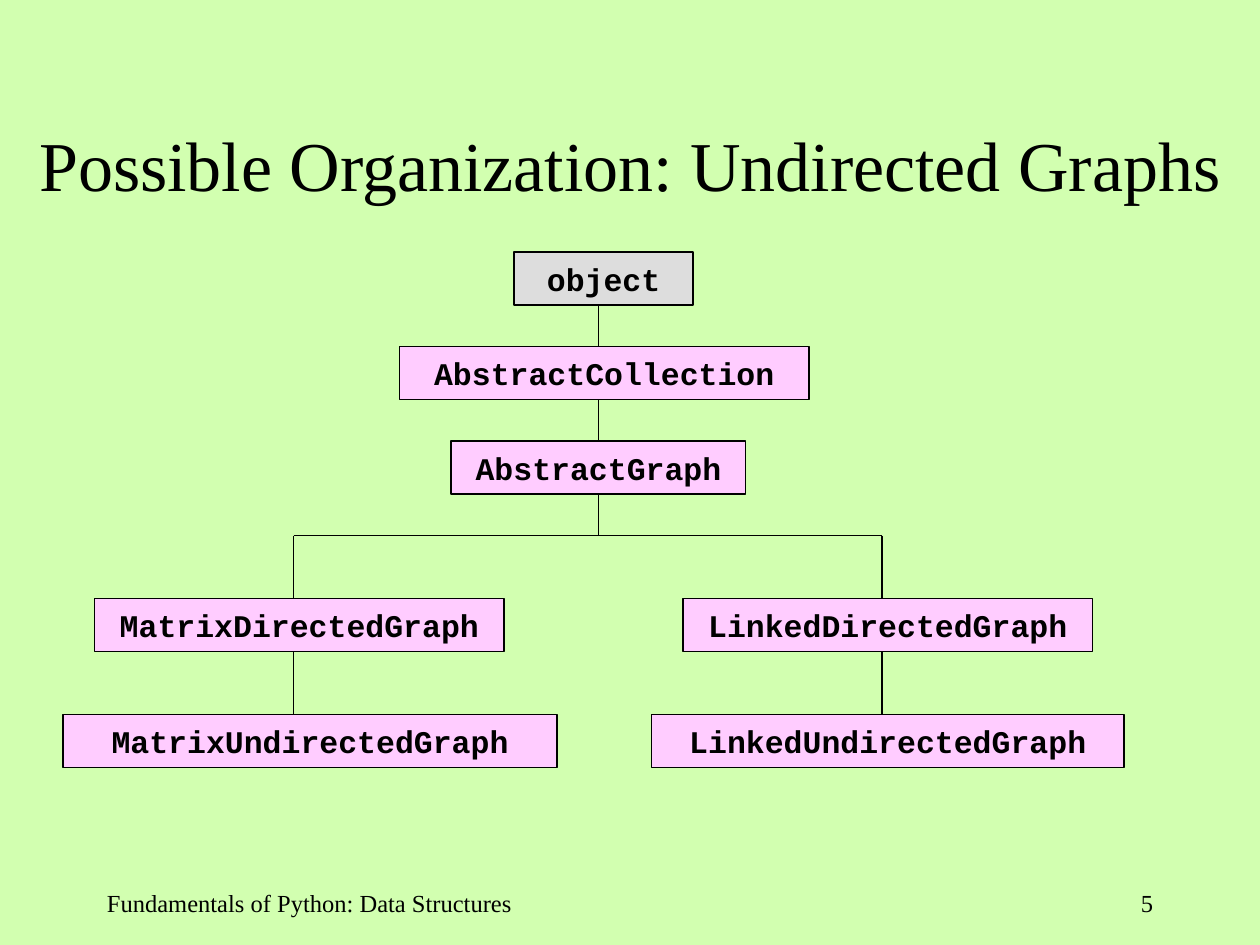
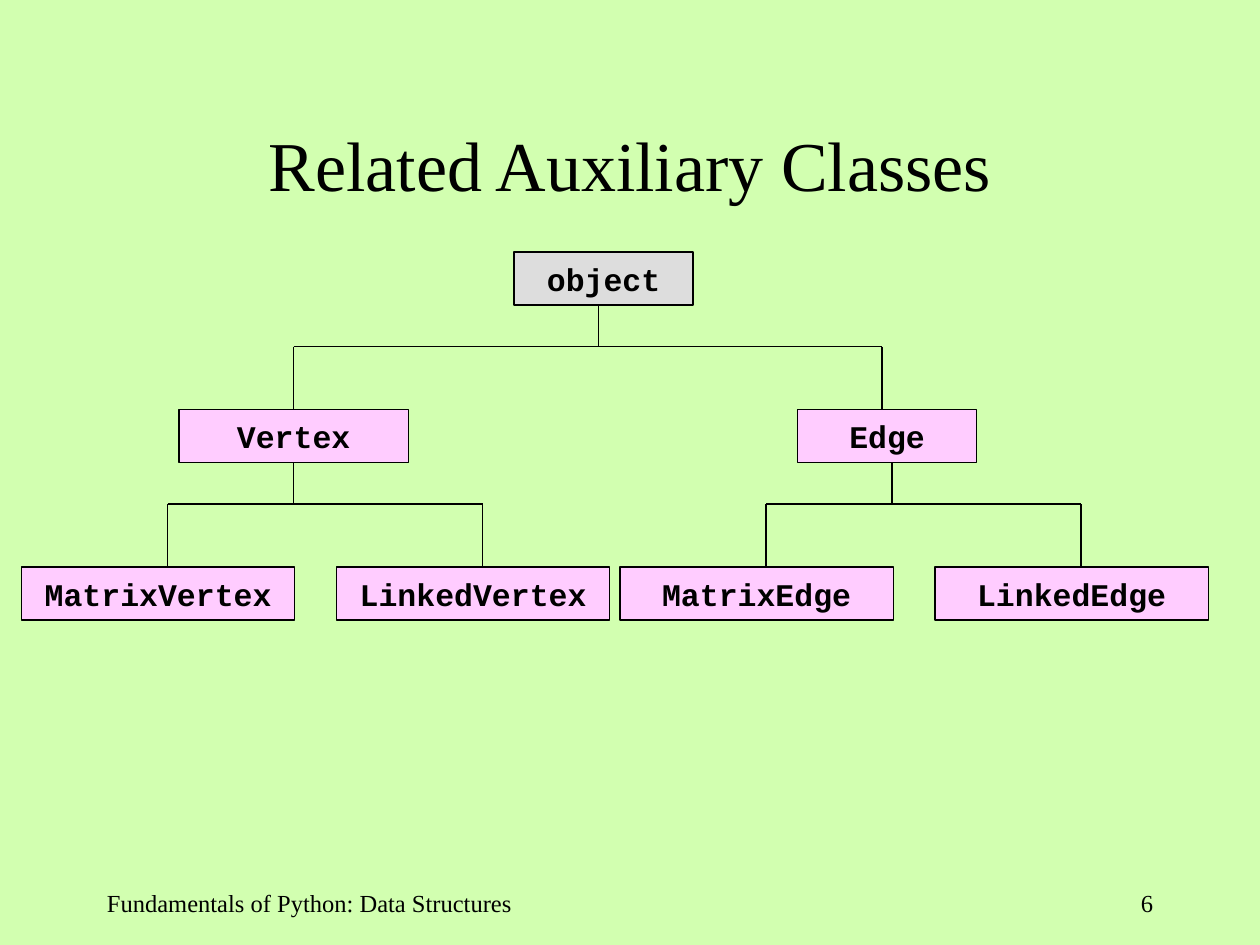
from dataclasses import dataclass

import pptx
import pptx.dml.color
import pptx.enum.shapes
import pptx.enum.text
import pptx.oxml
import pptx.util
from pptx.util import Inches

RGB = pptx.dml.color.RGBColor.from_string
ALIGN = pptx.enum.text.PP_ALIGN
ANCHOR = pptx.enum.text.MSO_ANCHOR
TOP_SIDE, BOTTOM_SIDE = 0, 2


@dataclass(frozen=True)
class Theme:
    background: str = "D2FFB0"
    ink: str = "000000"
    builtin_fill: str = "DDDDDD"
    class_fill: str = "FFCCFF"
    text_font: str = "Times New Roman"
    code_font: str = "Courier New"
    title_size: int = 40
    code_size: int = 18
    footer_size: int = 14
    line_width: float = 0.75


THEME = Theme()
BOX_HEIGHT = 0.42
STEM = 0.33
DROP = 0.5
BOOK = "Fundamentals of Python: Data Structures"


def write(frame, text, font_name, size, align, bold=False):
    frame.text = text
    paragraph = frame.paragraphs[0]
    paragraph.alignment = align
    font = paragraph.font
    font.name = font_name
    font.size = pptx.util.Pt(size)
    font.bold = bold
    font.color.rgb = RGB(THEME.ink)


def outline(line):
    line.color.rgb = RGB(THEME.ink)
    line.width = pptx.util.Pt(THEME.line_width)


def footer_text(slide, text, left, width, align):
    box = slide.shapes.add_textbox(Inches(left), Inches(7), Inches(width), Inches(0.5))
    box.text_frame.word_wrap = True
    write(box.text_frame, text, THEME.text_font, THEME.footer_size, align)


def titled_slide(prs, title, number):
    slide = prs.slides.add_slide(prs.slide_layouts[5])
    heading = slide.shapes.title
    heading.left, heading.top = Inches(0), Inches(0.67)
    heading.width, heading.height = Inches(10), Inches(1.25)
    frame = heading.text_frame
    frame.auto_size = pptx.enum.text.MSO_AUTO_SIZE.NONE
    frame.vertical_anchor = ANCHOR.MIDDLE
    write(frame, title, THEME.text_font, THEME.title_size, ALIGN.CENTER)
    footer_text(slide, BOOK, 0.75, 3.92, ALIGN.LEFT)
    footer_text(slide, str(number), 7.17, 2.08, ALIGN.RIGHT)
    return slide


def class_box(slide, name, left, top, width, fill=THEME.class_fill):
    box = slide.shapes.add_shape(
        pptx.enum.shapes.MSO_SHAPE.RECTANGLE,
        Inches(left), Inches(top), Inches(width), Inches(BOX_HEIGHT))
    box.shadow.inherit = False
    box.fill.solid()
    box.fill.fore_color.rgb = RGB(fill)
    outline(box.line)
    frame = box.text_frame
    frame.word_wrap = False
    frame.vertical_anchor = ANCHOR.MIDDLE
    write(frame, name, THEME.code_font, THEME.code_size, ALIGN.CENTER, bold=True)
    return box


def object_box(slide):
    return class_box(slide, "object", 4.08, 2, 1.42, THEME.builtin_fill)


def segment(slide, x1, y1, x2, y2):
    connector = slide.shapes.add_connector(
        pptx.enum.shapes.MSO_CONNECTOR.STRAIGHT, x1, y1, x2, y2)
    outline(connector.line)
    properties = connector._element.spPr
    properties.append(properties.makeelement(pptx.oxml.ns.qn("a:effectLst"), {}))
    return connector


def is_centred(box, x):
    return abs(box.left + box.width // 2 - x) < Inches(0.01)


def inherit(slide, x, parent=None, child=None, rail=None):
    x = Inches(x)
    start = parent.top + parent.height if parent else rail
    end = child.top if child else rail
    connector = segment(slide, x, start, x, end)
    if parent and is_centred(parent, x):
        connector.begin_connect(parent, BOTTOM_SIDE)
    if child and is_centred(child, x):
        connector.end_connect(child, TOP_SIDE)


def branch(slide, parent, stem_x, children):
    rail = parent.top + parent.height + Inches(STEM)
    inherit(slide, stem_x, parent=parent, rail=rail)
    xs = [x for x, _ in children]
    segment(slide, Inches(min(xs)), rail, Inches(max(xs)), rail)
    for x, child in children:
        inherit(slide, x, child=child, rail=rail)


def undirected_graphs(prs):
    slide = titled_slide(prs, "Possible Organization: Undirected Graphs", 5)
    trunk_x, matrix_x, linked_x = 4.75, 2.33, 7
    root = object_box(slide)
    collection = class_box(slide, "AbstractCollection", 3.17, 2.75, 3.25)
    graph = class_box(slide, "AbstractGraph", 3.58, 3.5, 2.34)
    inherit(slide, trunk_x, root, collection)
    inherit(slide, trunk_x, collection, graph)

    directed_top = 4.75
    undirected_top = directed_top + BOX_HEIGHT + DROP
    families = [
        ("Matrix", matrix_x, 0.75, 0.5, 3.92),
        ("Linked", linked_x, 5.42, 5.17, 3.75),
    ]
    directed_graphs = []
    for family, x, directed_left, undirected_left, undirected_width in families:
        directed = class_box(
            slide, f"{family}DirectedGraph", directed_left, directed_top, 3.25)
        undirected = class_box(
            slide, f"{family}UndirectedGraph", undirected_left, undirected_top,
            undirected_width)
        inherit(slide, x, directed, undirected)
        directed_graphs.append((x, directed))
    branch(slide, graph, trunk_x, directed_graphs)


def auxiliary_classes(prs):
    slide = titled_slide(prs, "Related Auxiliary Classes", 6)
    root = object_box(slide)
    parts = [
        ("Vertex", 1.42, 1.82, 2.33, 2.33, 0.17),
        ("Edge", 6.33, 1.42, 7, 7.08, 4.92),
    ]
    sibling_step, line_offset = 2.5, 1.16
    bases = []
    for part, left, width, entry_x, stem_x, first_left in parts:
        base = class_box(slide, part, left, 3.25, width)
        variants = []
        for index, family in enumerate(("Matrix", "Linked")):
            variant_left = first_left + index * sibling_step
            variant = class_box(slide, family + part, variant_left, 4.5, 2.17)
            variants.append((variant_left + line_offset, variant))
        branch(slide, base, stem_x, variants)
        bases.append((entry_x, base))
    branch(slide, root, 4.75, bases)


def main():
    prs = pptx.Presentation()
    prs.slide_width, prs.slide_height = Inches(10), Inches(7.5)
    background = prs.slide_master.background.fill
    background.solid()
    background.fore_color.rgb = RGB(THEME.background)
    undirected_graphs(prs)
    auxiliary_classes(prs)
    prs.save("out.pptx")


if __name__ == "__main__":
    main()
